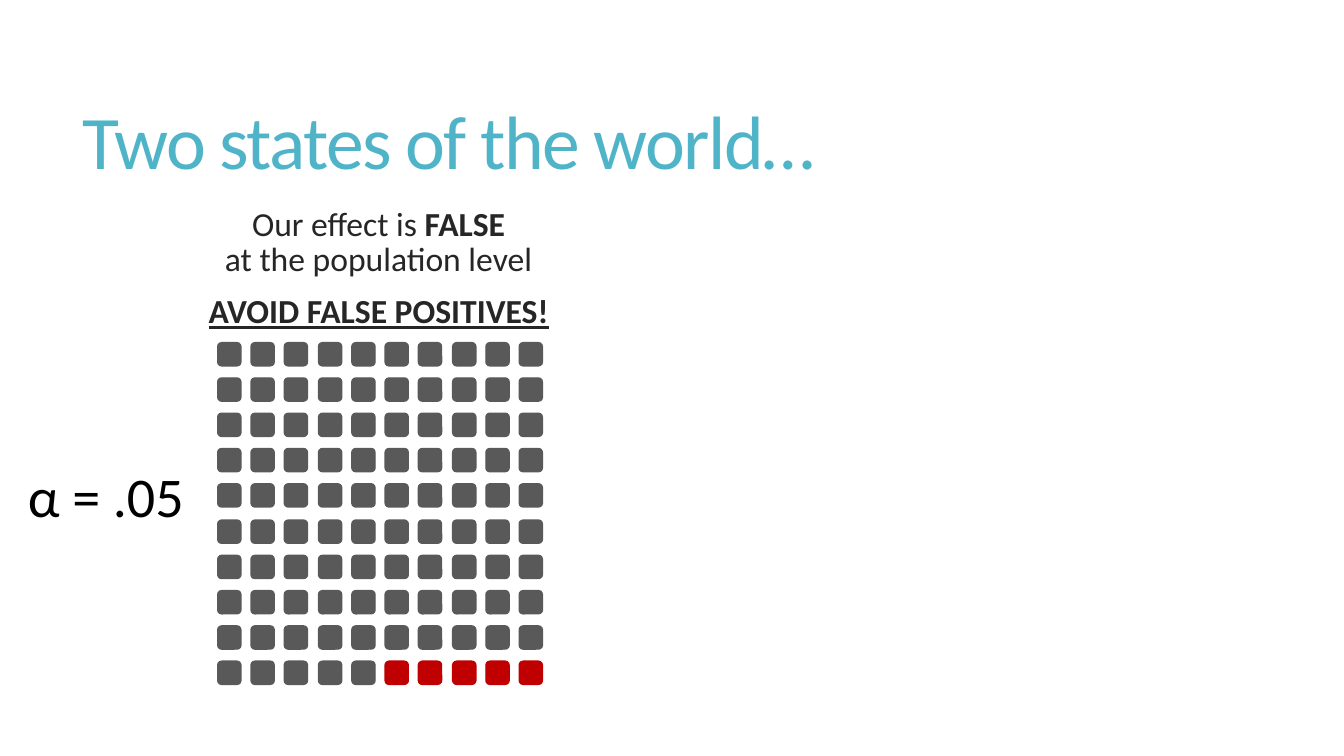
from dataclasses import dataclass

from pptx import Presentation
from pptx.dml.color import RGBColor
from pptx.enum.shapes import MSO_SHAPE
from pptx.enum.text import MSO_ANCHOR, PP_ALIGN
from pptx.util import Pt

EMU_PER_PX = 9144


@dataclass(frozen=True)
class Theme:
    font: str = "Calibri"
    heading: RGBColor = RGBColor(0x50, 0xB4, 0xC8)
    body: RGBColor = RGBColor(0x26, 0x26, 0x26)
    alpha: RGBColor = RGBColor(0, 0, 0)
    true_negative: RGBColor = RGBColor(0x59, 0x59, 0x59)
    false_positive: RGBColor = RGBColor(0xC0, 0, 0)
    heading_size: Pt = Pt(54)
    body_size: Pt = Pt(24)
    alpha_size: Pt = Pt(40)


THEME = Theme()


def px(*lengths):
    return [length * EMU_PER_PX for length in lengths]


def apply_format(target, values):
    for attribute, value in values.items():
        setattr(target, attribute, value)


def add_text_frame(slide, box, anchor):
    frame = slide.shapes.add_textbox(*px(*box)).text_frame
    apply_format(frame, {"word_wrap": True, "vertical_anchor": anchor})
    return frame


def add_words(paragraph, words, size, color, **style):
    run = paragraph.add_run()
    run.text = words
    apply_format(run.font, {"name": THEME.font, "size": size, **style})
    run.font.color.rgb = color
    return run


def add_heading(slide, words):
    frame = add_text_frame(slide, (72, 55, 1178, 181), MSO_ANCHOR.MIDDLE)
    heading = frame.paragraphs[0]
    heading.line_spacing = 0.85
    run = add_words(heading, words, THEME.heading_size, THEME.heading)
    run._r.get_or_add_rPr().set("spc", "-120")


def add_statement(slide):
    frame = add_text_frame(slide, (92, 203, 567, 476), MSO_ANCHOR.TOP)
    effect, warning = frame.paragraphs[0], frame.add_paragraph()
    for paragraph in (effect, warning):
        apply_format(paragraph, {
            "alignment": PP_ALIGN.CENTER,
            "line_spacing": 0.85,
            "space_before": Pt(13),
        })
    look = (THEME.body_size, THEME.body)
    add_words(effect, "Our effect is ", *look)
    add_words(effect, "FALSE", *look, bold=True)
    effect.add_line_break()
    add_words(effect, "at the population level", *look)
    add_words(warning, "AVOID FALSE POSITIVES!", *look, bold=True, underline=True)


def add_study(slide, left, top, color):
    study = slide.shapes.add_shape(
        MSO_SHAPE.ROUNDED_RECTANGLE, *px(left, top, 23, 23))
    study.shadow.inherit = False
    study.fill.solid()
    study.fill.fore_color.rgb = color
    study.line.color.rgb = color
    study.line.width = Pt(1)


def add_study_grid(slide, left, top, across, down, count, false_positives):
    steps = count - 1
    for index in range(count * count):
        row, column = divmod(index, count)
        is_false_positive = index >= count * count - false_positives
        add_study(
            slide,
            left + round(column * across / steps),
            top + round(row * down / steps),
            THEME.false_positive if is_false_positive else THEME.true_negative,
        )


def add_alpha_level(slide, words):
    frame = add_text_frame(slide, (-18, 463, 246, 57), MSO_ANCHOR.MIDDLE)
    level = frame.paragraphs[0]
    level.alignment = PP_ALIGN.CENTER
    add_words(level, words, THEME.alpha_size, THEME.alpha)


def main():
    deck = Presentation()
    deck.slide_width, deck.slide_height = px(1333, 750)
    slide = deck.slides.add_slide(deck.slide_layouts[6])
    add_heading(slide, "Two states of the world…")
    add_statement(slide)
    add_study_grid(slide, left=216, top=340, across=299, down=316,
                   count=10, false_positives=5)
    add_alpha_level(slide, "α = .05")
    deck.save("out.pptx")


if __name__ == "__main__":
    main()
